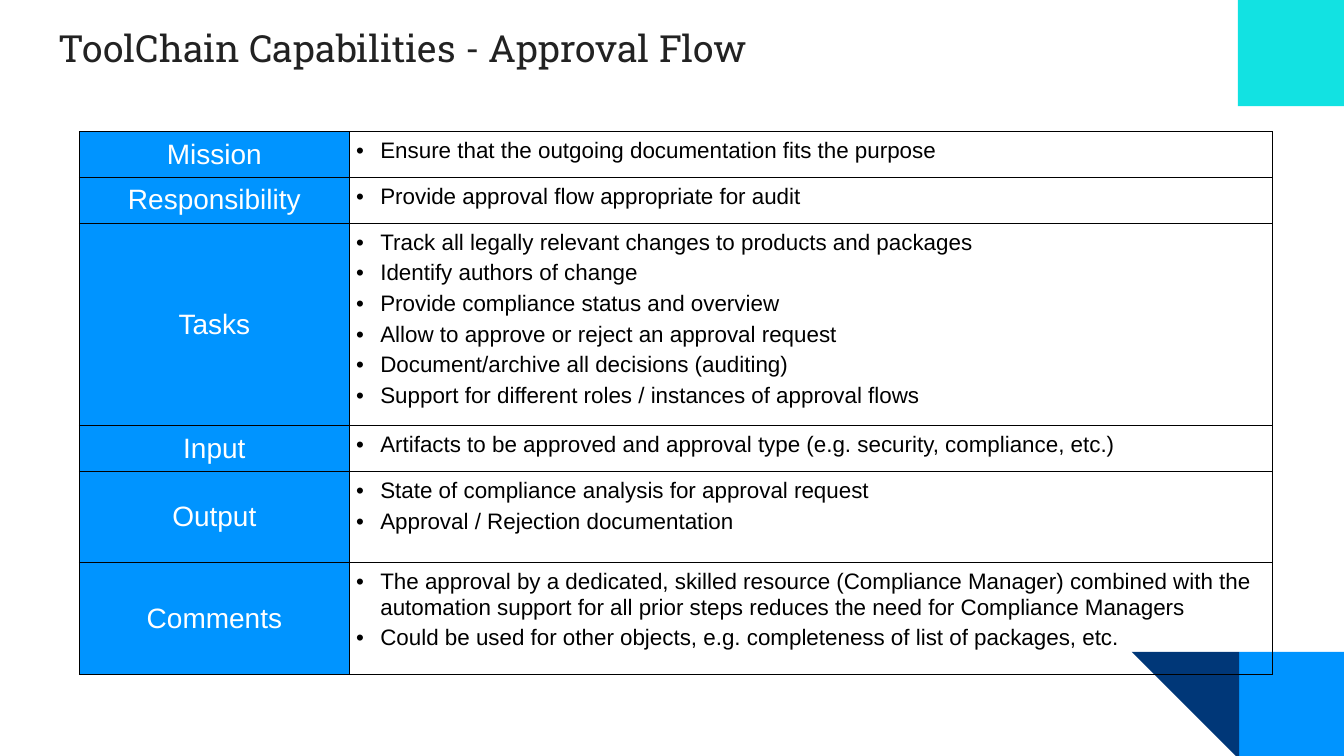
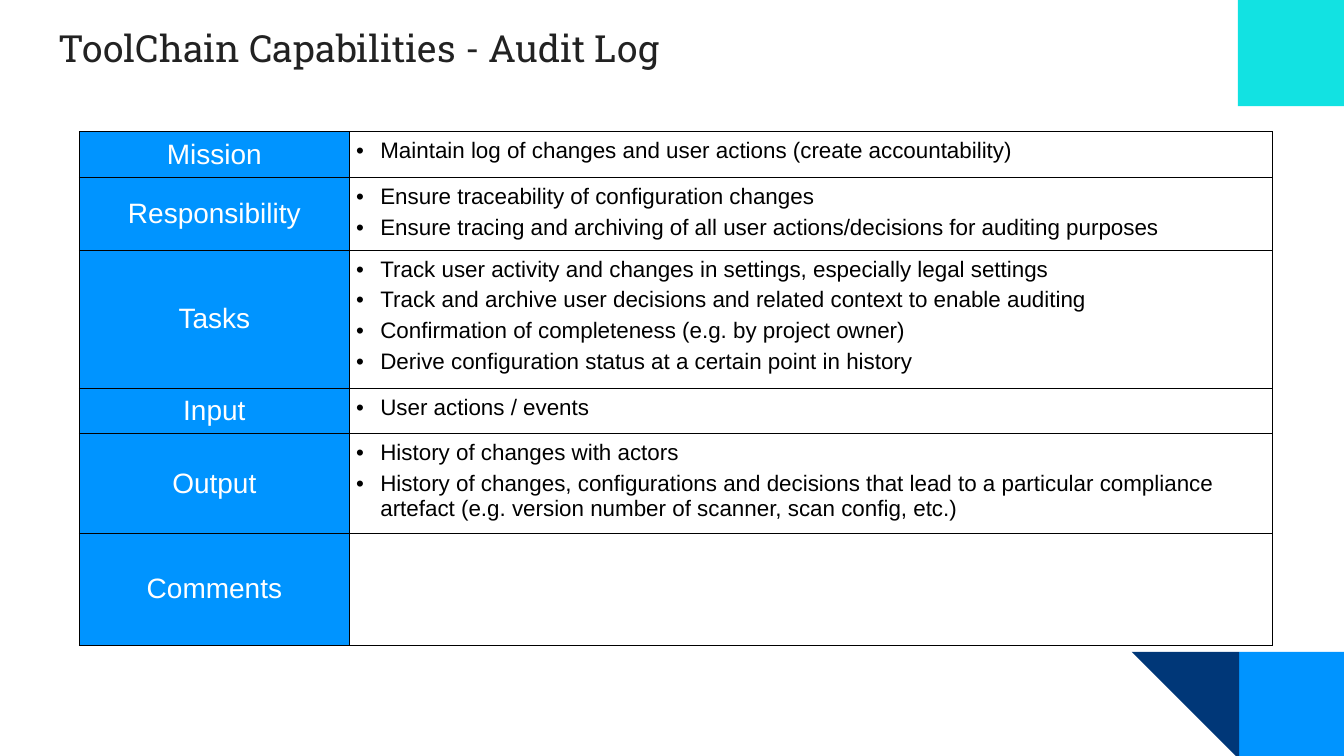
from dataclasses import dataclass

import pptx
import pptx.dml.color
import pptx.enum.shapes
import pptx.enum.text
import pptx.oxml
import pptx.oxml.ns
import pptx.presentation
import pptx.slide
import pptx.table
import pptx.text.text
import pptx.util

Inches = pptx.util.Inches
Pt = pptx.util.Pt
Kind = pptx.enum.shapes.MSO_SHAPE
Align = pptx.enum.text.PP_ALIGN
Anchor = pptx.enum.text.MSO_ANCHOR


@dataclass(frozen=True)
class Theme:
    blue: str = "0094FF"
    navy: str = "003778"
    aqua: str = "12E2E2"
    white: str = "FFFFFF"
    black: str = "000000"
    ink: str = "222222"
    head: str = "Roboto Slab"
    body: str = "Arial"
    title: float = 20
    label: float = 15
    text: float = 12
    gap: float = 3
    rule: float = 0.5


@dataclass(frozen=True)
class Block:
    kind: Kind
    left: float
    top: float
    size: float
    fill: str
    turn: float = 0


@dataclass(frozen=True)
class Row:
    label: str
    height: float
    items: tuple[str, ...] = ()


@dataclass(frozen=True)
class Page:
    topic: str
    rows: tuple[Row, ...]


THEME = Theme()
COLS = (2.01, 6.87)
BLOCKS = (
    Block(Kind.RECTANGLE, 9.22, 4.85, 0.79, THEME.blue),
    Block(Kind.RIGHT_TRIANGLE, 8.42, 4.85, 0.8, THEME.navy, 180),
    Block(Kind.RECTANGLE, 9.21, 0, 0.79, THEME.aqua),
)
PAGES = (
    Page("Approval Flow", (
        Row("Mission", 0.34, (
            "Ensure that the outgoing documentation fits the purpose",
        )),
        Row("Responsibility", 0.34, (
            "Provide approval flow appropriate for audit",
        )),
        Row("Tasks", 1.46, (
            "Track all legally relevant changes to products and packages",
            "Identify authors of change",
            "Provide compliance status and overview",
            "Allow to approve or reject an approval request",
            "Document/archive all decisions (auditing)",
            "Support for different roles / instances of approval flows",
        )),
        Row("Input", 0.34, (
            "Artifacts to be approved and approval type "
            "(e.g. security, compliance, etc.)",
        )),
        Row("Output", 0.68, (
            "State of compliance analysis for approval request",
            "Approval / Rejection documentation",
        )),
        Row("Comments", 0.83, (
            "The approval by a dedicated, skilled resource (Compliance Manager) "
            "combined with the automation support for all prior steps reduces "
            "the need for Compliance Managers",
            "Could be used for other objects, e.g. completeness of list of "
            "packages, etc.",
        )),
    )),
    Page("Audit Log", (
        Row("Mission", 0.34, (
            "Maintain log of changes and user actions (create accountability)",
        )),
        Row("Responsibility", 0.54, (
            "Ensure traceability of configuration changes",
            "Ensure tracing and archiving of all user actions/decisions for "
            "auditing purposes",
        )),
        Row("Tasks", 1, (
            "Track user activity and changes in settings, especially legal settings",
            "Track and archive user decisions and related context to enable auditing",
            "Confirmation of completeness (e.g. by project owner)",
            "Derive configuration status at a certain point in history",
        )),
        Row("Input", 0.34, ("User actions / events",)),
        Row("Output", 0.74, (
            "History of changes with actors",
            "History of changes, configurations and decisions that lead to a "
            "particular compliance artefact (e.g. version number of scanner, "
            "scan config, etc.)",
        )),
        Row("Comments", 0.83),
    )),
)


def color(code: str) -> pptx.dml.color.RGBColor:
    return pptx.dml.color.RGBColor.from_string(code)


def add_run(para: pptx.text.text._Paragraph, text: str, size: float,
            code: str, face: str = THEME.body) -> None:
    run = para.add_run()
    run.text = text
    run.font.size = Pt(size)
    run.font.name = face
    run.font.color.rgb = color(code)


def add_xml(node, body: str) -> None:
    space = pptx.oxml.ns.nsdecls("a")
    tag, rest = body.split(" ", 1)
    node.append(pptx.oxml.parse_xml(f"<{tag} {space} {rest}"))


def draw_block(slide: pptx.slide.Slide, block: Block) -> None:
    shape = slide.shapes.add_shape(
        block.kind, Inches(block.left), Inches(block.top),
        Inches(block.size), Inches(block.size))
    shape.rotation = block.turn
    shape.shadow.inherit = False
    shape.fill.solid()
    shape.fill.fore_color.rgb = color(block.fill)
    shape.line.fill.background()


def draw_title(slide: pptx.slide.Slide, topic: str) -> None:
    box = slide.shapes.add_textbox(
        Inches(0.34), Inches(0.09), Inches(9.32), Inches(0.66))
    frame = box.text_frame
    frame.word_wrap = True
    frame.margin_left = frame.margin_right = Inches(0.1)
    frame.margin_top = frame.margin_bottom = Inches(0.1)
    add_run(frame.paragraphs[0], f"ToolChain Capabilities - {topic}",
            THEME.title, THEME.ink, THEME.head)


def style_cell(cell: pptx.table._Cell, inset: float) -> None:
    """Set equal margins and a thin rule on all four sides."""
    cell.margin_left = cell.margin_right = Inches(inset)
    cell.margin_top = cell.margin_bottom = Inches(inset)
    props = cell._tc.get_or_add_tcPr()
    for side in "LRTB":
        add_xml(props, f'a:ln{side} w="{Pt(THEME.rule)}"><a:solidFill>'
                       f'<a:srgbClr val="{THEME.black}"/></a:solidFill></a:ln{side}>')


def fill_label(cell: pptx.table._Cell, text: str) -> None:
    style_cell(cell, 0)
    cell.fill.solid()
    cell.fill.fore_color.rgb = color(THEME.blue)
    cell.vertical_anchor = Anchor.MIDDLE
    para = cell.text_frame.paragraphs[0]
    para.alignment = Align.CENTER
    add_run(para, text, THEME.label, THEME.white)


def fill_items(cell: pptx.table._Cell, items: tuple[str, ...]) -> None:
    style_cell(cell, 0.05)
    cell.fill.background()
    frame = cell.text_frame
    for i, item in enumerate(items):
        para = frame.add_paragraph() if i else frame.paragraphs[0]
        props = para._p.get_or_add_pPr()
        props.set("marL", str(Inches(0.18)))
        props.set("indent", str(-Inches(0.18)))
        add_xml(props, f'a:buClr ><a:srgbClr val="{THEME.black}"/></a:buClr>')
        add_xml(props, f'a:buFont typeface="{THEME.body}"/>')
        add_xml(props, 'a:buChar char="•"/>')
        if i:
            para.space_before = Pt(THEME.gap)
        add_run(para, item, THEME.text, THEME.black)
        add_xml(para._p, f'a:endParaRPr sz="{THEME.text * 100}">'
                         f'<a:latin typeface="{THEME.body}"/></a:endParaRPr>')


def draw_table(slide: pptx.slide.Slide, rows: tuple[Row, ...]) -> None:
    table = slide.shapes.add_table(
        len(rows), len(COLS), Inches(0.59), Inches(0.98),
        Inches(sum(COLS)), Inches(sum(row.height for row in rows))).table
    table.first_row = table.horz_banding = False
    for col, width in zip(table.columns, COLS):
        col.width = Inches(width)
    for line, row in zip(table.rows, rows):
        line.height = Inches(row.height)
        fill_label(line.cells[0], row.label)
        fill_items(line.cells[1], row.items)


def add_page(deck: pptx.presentation.Presentation, page: Page) -> None:
    slide = deck.slides.add_slide(deck.slide_layouts[6])
    for block in BLOCKS:
        draw_block(slide, block)
    draw_title(slide, page.topic)
    draw_table(slide, page.rows)


def main() -> None:
    deck = pptx.Presentation()
    deck.slide_width = Inches(10)
    deck.slide_height = deck.slide_width * 9 // 16
    for page in PAGES:
        add_page(deck, page)
    deck.save("out.pptx")


if __name__ == "__main__":
    main()
